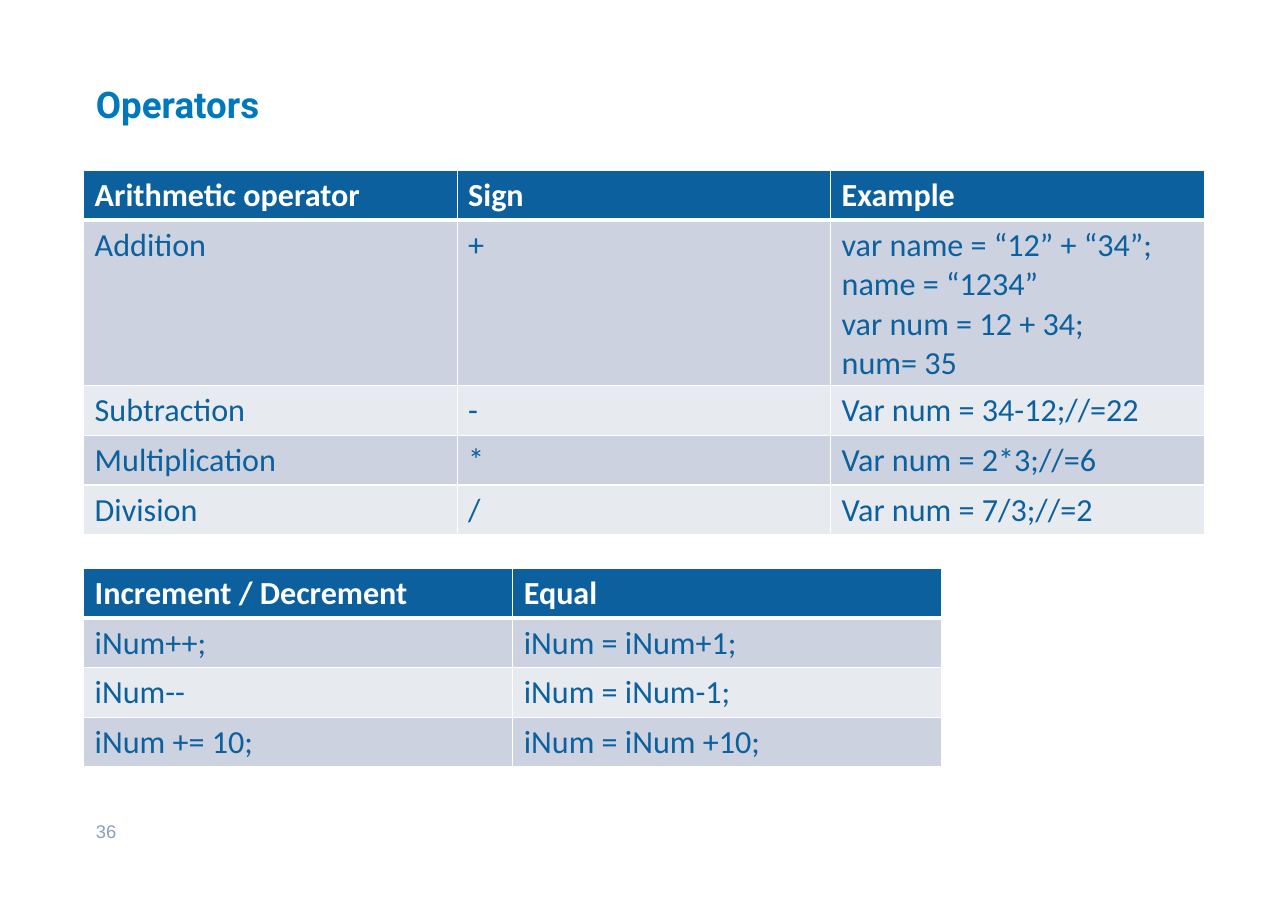
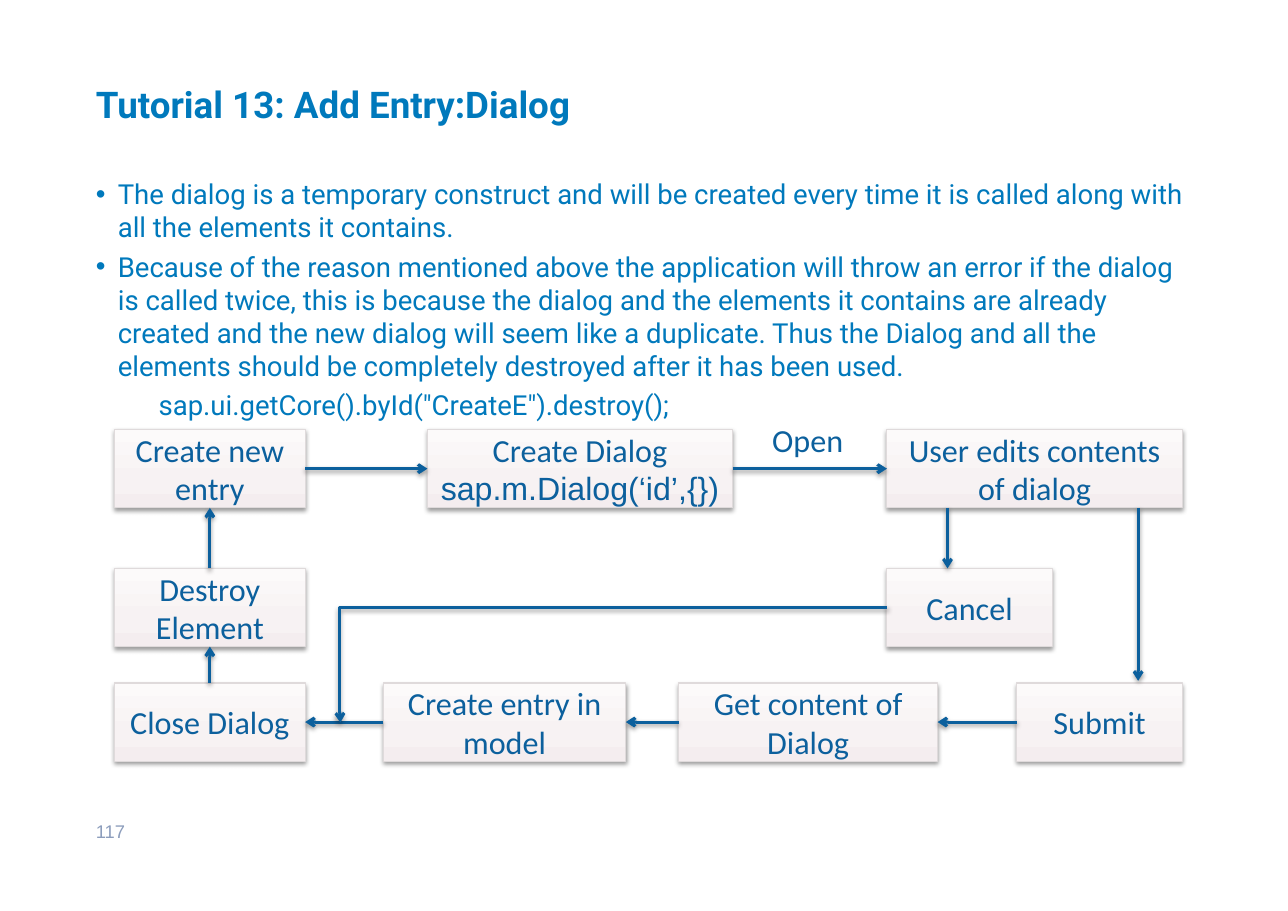
from dataclasses import dataclass

from lxml import etree
from pptx import Presentation
from pptx import util as u
from pptx.dml import color
from pptx.enum import shapes, text
from pptx.oxml import ns, parse_xml

PX = 9144


@dataclass(frozen=True)
class Theme:
    """Colours, fonts and type sizes of the deck."""
    title: str = "0079BC"
    navy: str = "0C609D"
    white: str = "FFFFFF"
    bands: tuple = ("CCD2DF", "E7EAEF")
    number: str = "8C9DBC"
    box_line: str = "DFDADB"
    box_stops: tuple = ((0, "F4EDEF"), (35, "F7F2F3"), (100, "FCFAFA"))
    heading_font: str = "Roboto"
    label_font: str = "Calibri"
    plain_font: str = "Arial"
    title_size: int = 24
    label_size: int = 21
    body_size: int = 18
    number_size: int = 12


THEME = Theme()
PAGE = (1169, 827)
TITLE_BOX = (76, 33, 1017, 122)
BODY_BOX = (76, 155, 1017, 558)
NUMBER_BOX = (76, 739, 255, 44)
SIDES = {"top": (0, 0.5, 0), "left": (1, 0, 0.5), "bottom": (2, 0.5, 1), "right": (3, 1, 0.5)}

ARITHMETIC = [
    ["Arithmetic operator", "Sign", "Example"],
    ["Addition", "+", "var name = “12” + “34”;\nname = “1234”\nvar num = 12 + 34;\nnum= 35"],
    ["Subtraction", "-", "Var num = 34-12;//=22"],
    ["Multiplication", "*", "Var num = 2*3;//=6"],
    ["Division", "/", "Var num = 7/3;//=2"],
]
INCREMENT = [
    ["Increment / Decrement", "Equal"],
    ["iNum++;", "iNum = iNum+1;"],
    ["iNum--", "iNum = iNum-1;"],
    ["iNum += 10;", "iNum = iNum +10;"],
]
BULLETS = [
    "The dialog is a temporary construct and will be created every time it is called "
    "along with all the elements it contains.",
    "Because of the reason mentioned above the application will throw an error if the "
    "dialog is called twice, this is because the dialog and the elements it contains are "
    "already created and the new dialog will seem like a duplicate. Thus the Dialog and "
    "all the elements should be completely destroyed after it has been used.",
]
CODE = 'sap.ui.getCore().byId("CreateE").destroy();'

ROWS = (0, 126, 230)
STEP_HEIGHT = 71
STEPS = {
    "create": (0, ROWS[0], 173, ["Create new entry"]),
    "dialog": (284, ROWS[0], 277, ["Create Dialog", "sap.m.Dialog(‘id’,{})"]),
    "edit": (701, ROWS[0], 268, ["User edits contents of dialog"]),
    "destroy": (0, ROWS[1], 173, ["Destroy Element"]),
    "cancel": (701, ROWS[1], 150, ["Cancel"]),
    "close": (0, ROWS[2], 173, ["Close Dialog"]),
    "model": (244, ROWS[2], 220, ["Create entry in model"]),
    "content": (512, ROWS[2], 235, ["Get content of Dialog"]),
    "submit": (819, ROWS[2], 150, ["Submit"]),
}
LINKS = [
    (("create", "right"), ("dialog", "left")),
    (("dialog", "right"), ("edit", "left")),
    ((756, 71), (756, 126)),
    ((929, 71), (929, 228)),
    (("submit", "left"), ("content", "right")),
    (("content", "left"), ("model", "right")),
    (("model", "left"), ("close", "right")),
    (("close", "top"), ("destroy", "bottom")),
    (("destroy", "top"), ("create", "bottom")),
]
CANCEL_LINK = (("cancel", "left"), (205, 266))


def px(*lengths):
    """Turn px lengths into EMU."""
    return [u.Emu(round(length * PX)) for length in lengths]


def rgb(value):
    """Return a colour object."""
    return color.RGBColor.from_string(value)


def add_span(para, words, font, size, ink, bold=False):
    """Add one formatted run."""
    span = para.add_run()
    span.text = words
    span.font.name, span.font.size, span.font.bold = font, u.Pt(size), bold
    span.font.color.rgb = rgb(ink)


def next_para(frame, index):
    """Return the first paragraph, or a new one after it."""
    return frame.add_paragraph() if index else frame.paragraphs[0]


def set_frame(frame, anchor, margins=(11, 6), wrap=True):
    """Set wrapping, anchor and margins of a text frame."""
    frame.word_wrap, frame.vertical_anchor = wrap, anchor
    frame.margin_left, frame.margin_top = px(*margins)
    frame.margin_right, frame.margin_bottom = px(*margins)


def add_shadow(shape):
    """Give a shape or connector the soft shadow below it."""
    shape._element.spPr.append(parse_xml(
        f'<a:effectLst {ns.nsdecls("a")}><a:outerShdw blurRad="39370" dist="20320" dir="5400000" '
        'rotWithShape="0"><a:srgbClr val="000000"><a:alpha val="38000"/></a:srgbClr>'
        '</a:outerShdw></a:effectLst>'))


def add_page(deck, title, number):
    """Add a page with its title and page number."""
    page = deck.slides.add_slide(deck.slide_layouts[5])
    box = page.shapes.title
    box.left, box.top, box.width, box.height = px(*TITLE_BOX)
    set_frame(box.text_frame, text.MSO_ANCHOR.MIDDLE)
    para = box.text_frame.paragraphs[0]
    para.alignment = text.PP_ALIGN.LEFT
    add_span(para, title, THEME.heading_font, THEME.title_size, THEME.title, True)
    box = page.shapes.add_textbox(*px(*NUMBER_BOX))
    set_frame(box.text_frame, text.MSO_ANCHOR.TOP)
    add_span(box.text_frame.paragraphs[0], number, THEME.plain_font, THEME.number_size, THEME.number)
    return page


def set_borders(cell, top, bottom):
    """Draw white borders round a cell, widths in points."""
    for side, width in (("L", 1), ("R", 1), ("T", top), ("B", bottom)):
        cell._tc.get_or_add_tcPr().append(parse_xml(
            f'<a:ln{side} {ns.nsdecls("a")} w="{u.Pt(width)}"><a:solidFill>'
            f'<a:srgbClr val="{THEME.white}"/></a:solidFill></a:ln{side}>'))


def add_grid(page, left, top, width, rows, row_height=41):
    """Add a banded table with equal columns."""
    frame = page.shapes.add_table(
        len(rows), len(rows[0]), *px(left, top, width, row_height * len(rows)))
    frame.table.horz_banding = False
    for row_index, row in enumerate(rows):
        header = row_index == 0
        for column, words in enumerate(row):
            cell = frame.table.cell(row_index, column)
            set_borders(cell, 3 if row_index == 1 else 1, 3 if header else 1)
            cell.fill.solid()
            cell.fill.fore_color.rgb = rgb(THEME.navy if header else THEME.bands[(row_index - 1) % 2])
            for index, line in enumerate(words.split("\n")):
                add_span(next_para(cell.text_frame, index), line, THEME.label_font,
                         THEME.label_size, THEME.white if header else THEME.navy, header)


def add_body(page, area):
    """Add the bullets and the indented line of code."""
    frame = page.shapes.add_textbox(*px(*area)).text_frame
    set_frame(frame, text.MSO_ANCHOR.TOP)
    for index, words in enumerate(BULLETS + [CODE]):
        para = next_para(frame, index)
        props = para._p.get_or_add_pPr()
        bullet = words != CODE
        margin, indent = px(20, -20) if bullet else px(57, 0)
        props.set("marL", str(margin))
        props.set("indent", str(indent))
        if bullet:
            etree.SubElement(props, ns.qn("a:buFont")).set("typeface", THEME.plain_font)
            etree.SubElement(props, ns.qn("a:buChar")).set("char", "•")
        if index:
            para.space_before = u.Pt(4)
        add_span(para, words, THEME.heading_font, THEME.body_size, THEME.title)


def add_step(page, area, lines):
    """Add one box of the flow; a second line is set as code."""
    box = page.shapes.add_shape(shapes.MSO_SHAPE.RECTANGLE, *px(*area))
    stops = "".join(f'<a:gs pos="{place * 1000}"><a:srgbClr val="{value}"/></a:gs>'
                    for place, value in THEME.box_stops)
    box._element.spPr.append(parse_xml(
        f'<a:gradFill {ns.nsdecls("a")} rotWithShape="1"><a:gsLst>{stops}</a:gsLst>'
        '<a:lin ang="16200000" scaled="0"/></a:gradFill>'))
    box.line.color.rgb = rgb(THEME.box_line)
    box.line.width = u.Pt(0.75)
    add_shadow(box)
    set_frame(box.text_frame, text.MSO_ANCHOR.MIDDLE, (10, 5))
    for index, words in enumerate(lines):
        para = next_para(box.text_frame, index)
        para.alignment = text.PP_ALIGN.CENTER
        font = THEME.plain_font if index else THEME.label_font
        add_span(para, words, font, THEME.label_size, THEME.navy)
    return box


def add_arrow(page, origin, boxes, ends, kind=shapes.MSO_CONNECTOR.STRAIGHT):
    """Add an arrow between box sides or free points."""
    points, glue = [], []
    for first, second in ends:
        if first in boxes:
            box = boxes[first]
            site, across, down = SIDES[second]
            points += [round(box.left + box.width * across), round(box.top + box.height * down)]
            glue.append((box, site))
        else:
            points += px(origin[0] + first, origin[1] + second)
            glue.append(None)
    arrow = page.shapes.add_connector(kind, *points)
    for target, connect in zip(glue, (arrow.begin_connect, arrow.end_connect)):
        if target:
            connect(*target)
    arrow.line.color.rgb = rgb(THEME.navy)
    arrow.line.width = u.Pt(2)
    etree.SubElement(arrow.line._get_or_add_ln(), ns.qn("a:tailEnd")).set("type", "arrow")
    add_shadow(arrow)
    return arrow


def add_flow(page, left, top):
    """Add the flow of the dialog from its top left corner."""
    boxes = {name: add_step(page, (left + x, top + y, width, STEP_HEIGHT), lines)
             for name, (x, y, width, lines) in STEPS.items()}
    for ends in LINKS:
        add_arrow(page, (left, top), boxes, ends)
    bent = add_arrow(page, (left, top), boxes, CANCEL_LINK, shapes.MSO_CONNECTOR.ELBOW)
    guides = bent._element.spPr.find(ns.qn("a:prstGeom")).find(ns.qn("a:avLst"))
    guide = etree.SubElement(guides, ns.qn("a:gd"))
    guide.set("name", "adj1")
    guide.set("fmla", "val 100100")
    label = page.shapes.add_textbox(*px(left + 587, top - 13, 85, 45))
    set_frame(label.text_frame, text.MSO_ANCHOR.TOP, (10, 5), False)
    add_span(label.text_frame.paragraphs[0], "Open", THEME.label_font, THEME.label_size, THEME.navy)


def main():
    """Build and save the deck."""
    deck = Presentation()
    deck.slide_width, deck.slide_height = px(*PAGE)
    page = add_page(deck, "Operators", "36")
    add_grid(page, 76, 155, 1017, ARITHMETIC)
    add_grid(page, 76, 516, 779, INCREMENT)
    page = add_page(deck, "Tutorial 13: Add Entry:Dialog", "117")
    add_body(page, BODY_BOX)
    add_flow(page, 104, 390)
    deck.save("out.pptx")


if __name__ == "__main__":
    main()
